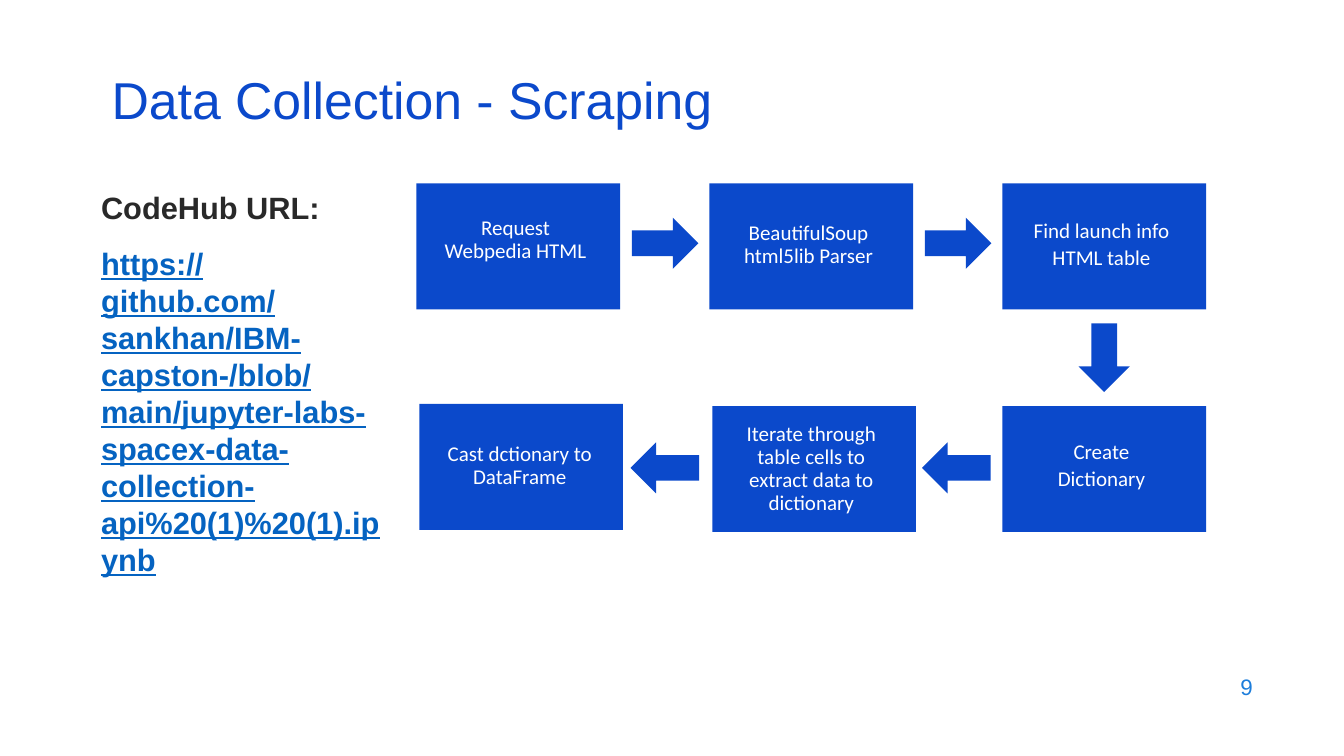
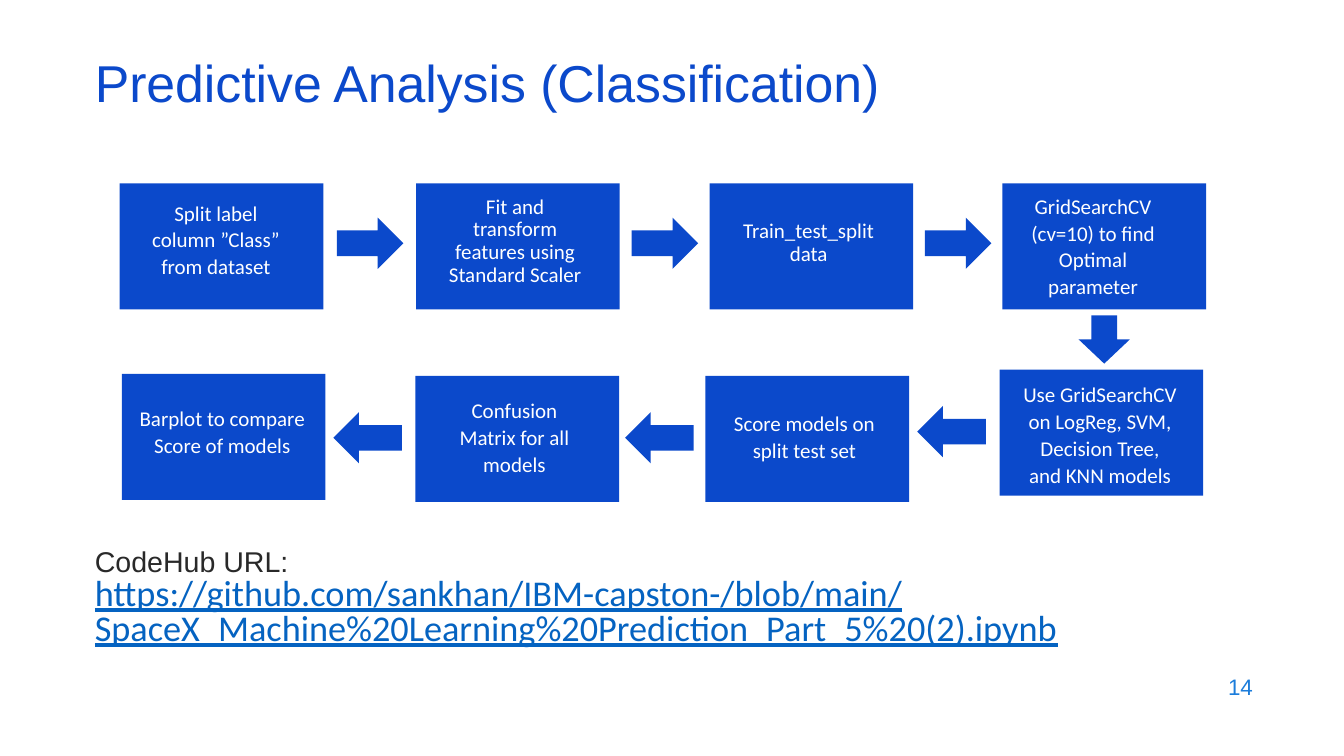
import dataclasses

import lxml.etree
import pptx
import pptx.dml.color
import pptx.enum.shapes
import pptx.enum.text
import pptx.oxml.ns
import pptx.util

Pt = pptx.util.Pt
RGBColor = pptx.dml.color.RGBColor
MSO_SHAPE = pptx.enum.shapes.MSO_SHAPE
PP_ALIGN = pptx.enum.text.PP_ALIGN
MSO_ANCHOR = pptx.enum.text.MSO_ANCHOR

BLUE = RGBColor(0x0B, 0x49, 0xCB)
NUMBER_BLUE = RGBColor(0x1C, 0x7D, 0xDB)
LINK_BLUE = RGBColor(0x05, 0x63, 0xC1)
DARK = RGBColor(0x29, 0x29, 0x29)
WHITE = RGBColor(0xFF, 0xFF, 0xFF)

STEP_WIDTH, STEP_HEIGHT = 145.5, 90
ARROW_WIDTH = 36.5


@dataclasses.dataclass
class Step:
    paras: list
    text_top: float
    text_width: float
    shift: float = -2
    nudge: tuple = (0, 0)


@dataclasses.dataclass
class Line:
    text: str
    font: str
    size: float
    color: RGBColor
    spacing: object
    before: float = 0
    bold: bool = False
    underline: bool = False


def place(shape, box):
    shape.left, shape.top, shape.width, shape.height = map(Pt, box)


def add_span(para, text, font, size, color, bold=False, underline=False):
    span = para.add_run()
    span.text = text
    span.font.name = font
    span.font.size = Pt(size)
    span.font.color.rgb = color
    span.font.bold = bold
    span.font.underline = underline


def paragraphs(frame, items):
    for index, item in enumerate(items):
        yield item, frame.paragraphs[0] if index == 0 else frame.add_paragraph()


def add_title(page, box, text):
    title = page.shapes.title
    place(title, box)
    frame = title.text_frame
    frame.auto_size = pptx.enum.text.MSO_AUTO_SIZE.NONE
    frame.vertical_anchor = MSO_ANCHOR.MIDDLE
    para = frame.paragraphs[0]
    para.alignment = PP_ALIGN.LEFT
    para.line_spacing = 0.7
    add_span(para, text, "Arial", 37, BLUE)


def add_body(page, box, lines):
    body = page.placeholders[1]
    place(body, box)
    frame = body.text_frame
    frame.auto_size = pptx.enum.text.MSO_AUTO_SIZE.NONE
    frame.vertical_anchor = MSO_ANCHOR.TOP
    for line, para in paragraphs(frame, lines):
        para.line_spacing = line.spacing
        para.space_before = Pt(line.before)
        properties = para._p.get_or_add_pPr()
        properties.set("marL", "0")
        properties.set("indent", "0")
        lxml.etree.SubElement(properties, pptx.oxml.ns.qn("a:buNone"))
        add_span(para, line.text, line.font, line.size, line.color, line.bold, line.underline)


def add_number(page, number):
    box = page.shapes.add_textbox(Pt(686), Pt(474.5), Pt(216), Pt(32))
    frame = box.text_frame
    frame.word_wrap = True
    frame.vertical_anchor = MSO_ANCHOR.MIDDLE
    para = frame.paragraphs[0]
    para.alignment = PP_ALIGN.RIGHT
    add_span(para, str(number), "Arial", 16, NUMBER_BLUE)


def add_block(page, kind, left, top, width, height):
    shape = page.shapes.add_shape(kind, Pt(left), Pt(top), Pt(width), Pt(height))
    shape.shadow.inherit = False
    shape.fill.solid()
    shape.fill.fore_color.rgb = BLUE
    shape.line.fill.background()
    return shape


def add_step(page, left, top, step):
    left, top = left + step.nudge[0], top + step.nudge[1]
    shape = add_block(page, MSO_SHAPE.RECTANGLE, left, top, STEP_WIDTH, STEP_HEIGHT)
    frame = shape.text_frame
    frame.word_wrap = True
    frame.vertical_anchor = MSO_ANCHOR.TOP
    side = (STEP_WIDTH - step.text_width) / 2
    frame.margin_left = Pt(side + step.shift)
    frame.margin_right = Pt(side - step.shift)
    frame.margin_top = Pt(step.text_top)
    frame.margin_bottom = 0
    for index, (text, para) in enumerate(paragraphs(frame, step.paras)):
        para.alignment = PP_ALIGN.CENTER
        para.line_spacing = Pt(16.4)
        para.space_before = Pt(2.9 if index else 0)
        for part, words in enumerate(text.split("\n")):
            if part:
                para.add_line_break()
            add_span(para, words, "Calibri", 15, WHITE)
    return left, top


def add_flow(page, box, upper, lower, down_length):
    left, top, width, height = box
    pitch = (width - STEP_WIDTH) / (len(upper) - 1)
    lower_top = top + height - STEP_HEIGHT
    upper_places = [add_step(page, left + column * pitch, top, step)
                    for column, step in enumerate(upper)]
    lower_places = [add_step(page, left + width - STEP_WIDTH - column * pitch, lower_top, step)
                    for column, step in enumerate(lower)]

    for (start, start_top), (end, _) in zip(upper_places, upper_places[1:]):
        middle = (start + STEP_WIDTH + end) / 2
        add_block(page, MSO_SHAPE.RIGHT_ARROW, middle - 23.5, start_top + 24.5, 47.5, ARROW_WIDTH)
    for (start, start_top), (end, _) in zip(lower_places, lower_places[1:]):
        middle = (end + STEP_WIDTH + start) / 2
        add_block(page, MSO_SHAPE.LEFT_ARROW, middle - 26.5, start_top + 26, 49, ARROW_WIDTH)
    center = left + width - STEP_WIDTH / 2
    gap_middle = (top + STEP_HEIGHT + lower_top) / 2
    add_block(page, MSO_SHAPE.DOWN_ARROW, center - ARROW_WIDTH / 2,
              gap_middle - down_length / 2, ARROW_WIDTH, down_length)


def add_page(deck, number, title_box, title, body_box, lines):
    page = deck.slides.add_slide(deck.slide_layouts[1])
    add_title(page, title_box, title)
    add_body(page, body_box, lines)
    add_number(page, number)
    return page


def add_scraping(deck):
    page = add_page(
        deck, 9, (72.5, 54.5, 828, 43), "Data Collection - Scraping", (65, 131, 216, 343.5),
        [Line("CodeHub URL:", "Arial", 22, DARK, Pt(26.4), bold=True),
         Line("https://github.com/sankhan/IBM-capston-/blob/main/"
              "jupyter-labs-spacex-data-collection-api%20(1)%20(1).ipynb",
              "Arial", 22, LINK_BLUE, Pt(26.4), 14, bold=True, underline=True)])
    upper = [
        Step(["Request Webpedia HTML"], 24, 105),
        Step(["BeautifulSoup\nhtml5lib Parser"], 27.5, 111),
        Step(["Find launch info", "HTML table"], 26, 117),
    ]
    lower = [
        Step(["Create", "Dictionary"], 25, 117),
        Step(["Iterate through table cells to extract data to dictionary"], 12, 108, nudge=(2, 0)),
        Step(["Cast dctionary to DataFrame"], 28, 121, -1, (2, -1.5)),
    ]
    add_flow(page, (297.5, 131, 564, 249), upper, lower, 49)


def add_classification(deck):
    page = add_page(
        deck, 14, (60.5, 42.5, 828, 43), "Predictive Analysis (Classification)",
        (60.5, 387.5, 828, 116),
        [Line("CodeHub URL:", "Arial", 20.4, DARK, 0.9),
         Line("https://github.com/sankhan/IBM-capston-/blob/main/"
              "SpaceX_Machine%20Learning%20Prediction_Part_5%20(2).ipynb",
              "Calibri", 25.9, LINK_BLUE, 0.8, underline=True)])
    upper = [
        Step(["Split label", "column ”Class”", "from dataset"], 13.5, 130, -4),
        Step(["Fit and\ntransform features using Standard Scaler"], 8.5, 105, nudge=(1.5, 0)),
        Step(["Train_test_split data"], 26, 111, nudge=(1, 0)),
        Step(["GridSearchCV", "(cv=10) to find", "Optimal", "parameter"], 8.5, 127, -8),
    ]
    lower = [
        Step(["Use GridSearchCV", "on LogReg, SVM,", "Decision Tree,", "and KNN models"],
             10, 117, -1, (-2, 0)),
        Step(["Score models on", "split test set"], 26, 117, nudge=(-2, 4.5)),
        Step(["Confusion", "Matrix for all", "models"], 17, 108, nudge=(1, 4.5)),
        Step(["Barplot to compare", "Score of models"], 24.5, 121, -1, (1.5, 3)),
    ]
    add_flow(page, (85.5, 131, 776, 223), upper, lower, 34.5)


def main():
    deck = pptx.Presentation()
    deck.slide_width, deck.slide_height = Pt(960), Pt(540)
    add_scraping(deck)
    add_classification(deck)
    deck.save("out.pptx")


if __name__ == "__main__":
    main()
